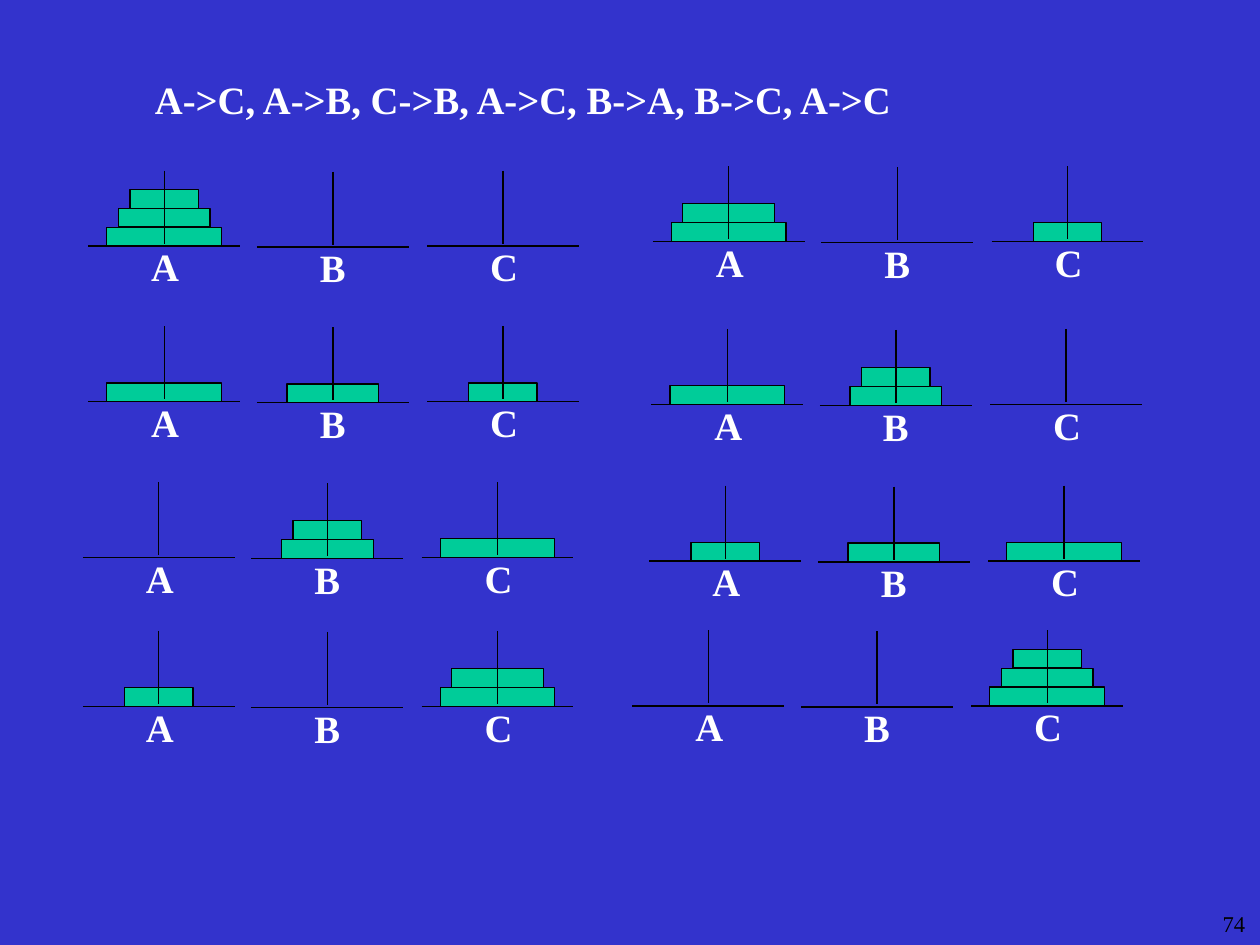
from dataclasses import dataclass

from lxml.etree import SubElement
from pptx import Presentation
from pptx.dml.color import RGBColor as Rgb
from pptx.enum.shapes import MSO_CONNECTOR as Connector, MSO_SHAPE as Preset
from pptx.enum.text import MSO_ANCHOR as Anchor, MSO_AUTO_SIZE as AutoSize, PP_ALIGN as Align
from pptx.oxml.ns import qn
from pptx.util import Cm, Pt


@dataclass(frozen=True)
class Theme:
    """Colours, typeface and type sizes of the slide."""
    background: Rgb = Rgb(0x33, 0x33, 0xCC)
    disc: Rgb = Rgb(0x00, 0xCC, 0x99)
    ink: Rgb = Rgb(0, 0, 0)
    text: Rgb = Rgb(255, 255, 255)
    typeface: str = "Times New Roman"
    body_size: float = 22.1
    number_size: float = 12.9
    line_width: float = 0.75


MOVES = "A->C, A->B, C->B, A->C, B->A, B->C, A->C"
STATE_ORIGINS = [(3.31, 4.96), (14.69, 4.87), (3.31, 8.1), (14.66, 8.15),
                 (3.2, 11.24), (14.62, 11.31), (3.2, 14.24), (14.28, 14.23)]
PEG_OFFSETS = {"A": (0, 0), "B": (3.4, 0.02), "C": (6.83, 0)}
LABEL_WIDTHS = {"A": 1.09, "B": 1.04, "C": 1.09}
DISC_WIDTHS = {"large": 2.31, "medium": 1.85, "small": 1.38}
DISC_HEIGHT = 0.38
BASE_WIDTH = 3.06
POLE_TOP, POLE_BOTTOM = 1.52, 0.05


def write_text(frame, text, *, size, color, typeface, bold=False, align=Align.LEFT,
               anchor=Anchor.TOP, wrap=True):
    """Fill a text frame with one formatted paragraph."""
    frame.auto_size = AutoSize.NONE
    frame.word_wrap = wrap
    frame.vertical_anchor = anchor
    paragraph = frame.paragraphs[0]
    paragraph.alignment = align
    run = paragraph.add_run()
    run.text = text
    run.font.size, run.font.name, run.font.bold = Pt(size), typeface, bold
    run.font.color.rgb = color


class HanoiSlide:
    """Draws puzzle states on one slide in one style."""

    def __init__(self, slide, theme):
        self.slide, self.theme = slide, theme
        slide.background.fill.solid()
        slide.background.fill.fore_color.rgb = theme.background

    def title(self, text, left, top, width, height):
        heading = self.slide.shapes.title
        heading.left, heading.top = Cm(left), Cm(top)
        heading.width, heading.height = Cm(width), Cm(height)
        write_text(heading.text_frame, text, size=self.theme.body_size,
                   color=self.theme.text, typeface=self.theme.typeface, bold=True)

    def page_number(self, text, left, top, width, height):
        number = self.slide.shapes.add_textbox(Cm(left), Cm(top), Cm(width), Cm(height))
        write_text(number.text_frame, text, size=self.theme.number_size, color=self.theme.ink,
                   typeface=self.theme.typeface, align=Align.RIGHT, anchor=Anchor.BOTTOM)

    def outline(self, line):
        line.color.rgb = self.theme.ink
        line.width = Pt(self.theme.line_width)

    def disc(self, shapes, center, bottom, width):
        disc = shapes.add_shape(Preset.RECTANGLE, Cm(center - width / 2),
                                Cm(bottom - DISC_HEIGHT), Cm(width), Cm(DISC_HEIGHT))
        disc.shadow.inherit = False
        disc.fill.solid()
        disc.fill.fore_color.rgb = self.theme.disc
        self.outline(disc.line)

    def line(self, shapes, x1, y1, x2, y2):
        stroke = shapes.add_connector(Connector.STRAIGHT, Cm(x1), Cm(y1), Cm(x2), Cm(y2))
        self.outline(stroke.line)
        SubElement(stroke.element.spPr, qn("a:effectLst"))

    def peg(self, shapes, name, x, base):
        self.line(shapes, x, base - POLE_TOP, x, base - POLE_BOTTOM)
        self.line(shapes, x - BASE_WIDTH / 2, base, x + BASE_WIDTH / 2, base)
        label = shapes.add_textbox(Cm(x - 0.51), Cm(base - 0.18),
                                   Cm(LABEL_WIDTHS[name]), Cm(1.19))
        write_text(label.text_frame, name, size=self.theme.body_size, color=self.theme.text,
                   typeface=self.theme.typeface, bold=True, wrap=False)

    def state(self, stacks, left, base):
        shapes = self.slide.shapes.add_group_shape().shapes
        places = {name: (left + dx, base + dy) for name, (dx, dy) in PEG_OFFSETS.items()}
        for name, stack in stacks.items():
            x, y = places[name]
            for level, disc in enumerate(stack):
                self.disc(shapes, x, y - level * DISC_HEIGHT, DISC_WIDTHS[disc])
        for name, (x, y) in places.items():
            self.peg(shapes, name, x, y)


def puzzle_states(moves):
    """Yield the stacks before the first move and after each one."""
    stacks = {"A": list(DISC_WIDTHS), "B": [], "C": []}
    yield stacks
    for move in moves.split(", "):
        source, target = move.split("->")
        stacks[target].append(stacks[source].pop())
        yield stacks


def main():
    """Build and save the slide."""
    deck = Presentation()
    deck.slide_width, deck.slide_height = Cm(25.4), Cm(19.05)
    hanoi = HanoiSlide(deck.slides.add_slide(deck.slide_layouts[5]), Theme())
    hanoi.title(MOVES, 2.87, 1.4, 19.76, 1.19)
    hanoi.page_number("74", 21.84, 17.78, 3.51, 1.24)
    for stacks, (left, base) in zip(puzzle_states(MOVES), STATE_ORIGINS):
        hanoi.state(stacks, left, base)
    deck.save("out.pptx")


if __name__ == "__main__":
    main()
